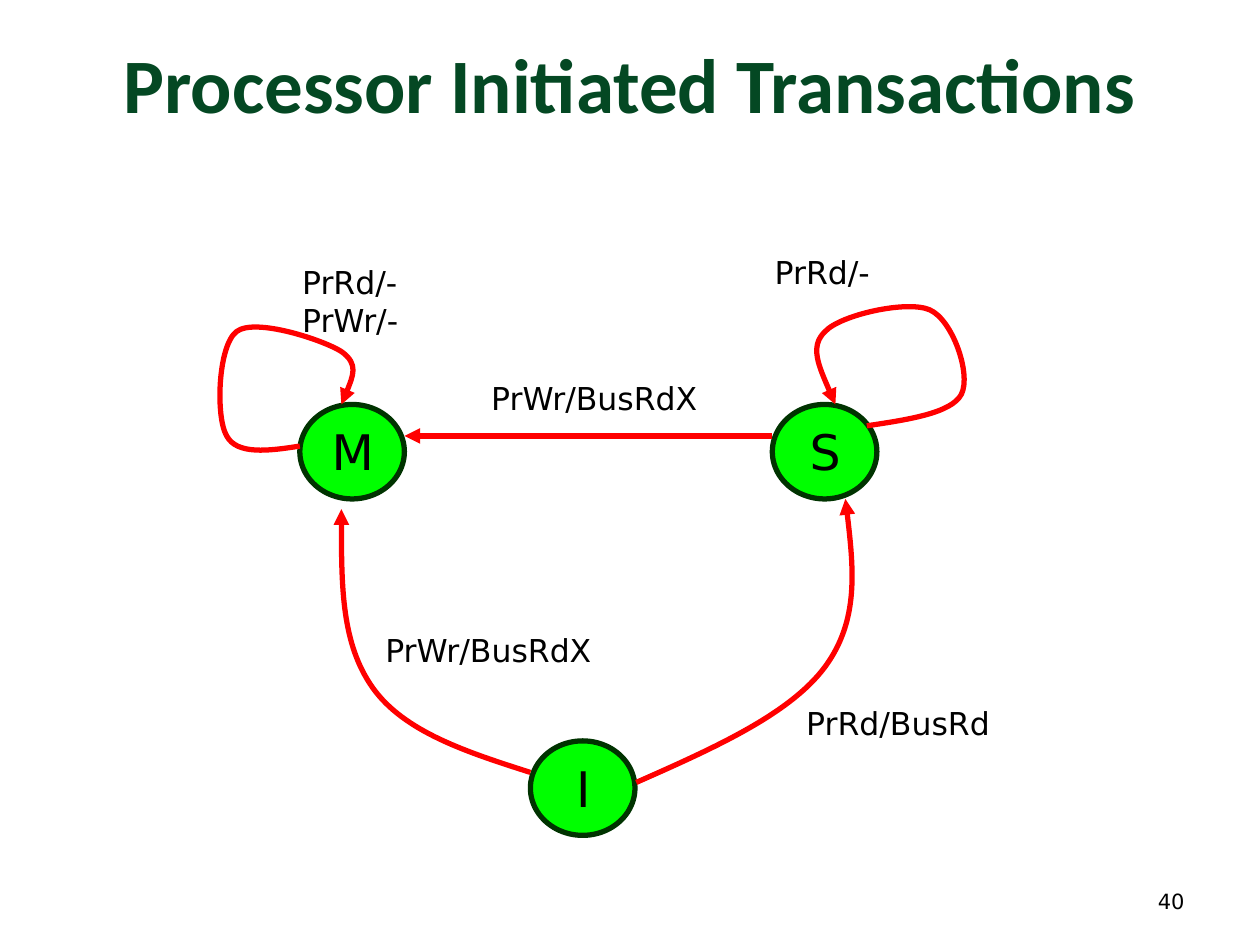
from dataclasses import dataclass

from lxml import etree
from pptx import Presentation
from pptx.dml.color import RGBColor
from pptx.enum.shapes import MSO_CONNECTOR, MSO_SHAPE
from pptx.enum.text import MSO_ANCHOR, MSO_AUTO_SIZE, PP_ALIGN
from pptx.oxml.ns import qn
from pptx.util import Inches, Pt

CENTER, RIGHT = PP_ALIGN.CENTER, PP_ALIGN.RIGHT
MIDDLE = MSO_ANCHOR.MIDDLE
GROW = MSO_AUTO_SIZE.SHAPE_TO_FIT_TEXT
OVAL = MSO_SHAPE.OVAL
STRAIGHT = MSO_CONNECTOR.STRAIGHT

Point = tuple[float, float]


@dataclass(frozen=True)
class Theme:
    title_font: str = "Calibri"
    body_font: str = "DejaVu Sans"
    title_size: int = 44
    state_size: int = 28
    label_size: int = 18
    number_size: int = 12
    line_width: int = 3
    title: RGBColor = RGBColor(0x04, 0x48, 0x23)
    text: RGBColor = RGBColor(0, 0, 0)
    state_fill: RGBColor = RGBColor(0, 0xFF, 0)
    state_line: RGBColor = RGBColor(0, 0x33, 0)
    arrow: RGBColor = RGBColor(0xFF, 0, 0)


@dataclass(frozen=True)
class State:
    name: str
    left: float
    top: float


@dataclass(frozen=True)
class Transition:
    """Start point plus three Bézier points per curve; two points mean a straight arrow."""
    points: list[Point]
    label: list[str]
    label_box: tuple[float, float, float, float]


THEME = Theme()
STATE_WIDTH, STATE_HEIGHT = 0.83, 0.75

STATES = [State("M", 2.38, 3.21), State("I", 4.21, 5.88), State("S", 6.13, 3.21)]

TRANSITIONS = [
    Transition([(2.38, 3.54), (2.13, 3.58), (1.88, 3.61), (1.8, 3.46),
                (1.71, 3.31), (1.73, 2.74), (1.88, 2.63),
                (2.03, 2.52), (2.57, 2.7), (2.71, 2.79),
                (2.85, 2.89), (2.78, 3.05), (2.71, 3.21)],
               ["PrRd/-", "PrWr/-"], (2.3, 2.04, 1.04, 0.7)),
    Transition([(4.21, 6.13), (3.71, 5.97), (3.21, 5.81), (2.96, 5.46),
                (2.71, 5.11), (2.71, 4.58), (2.71, 4.04)],
               ["PrWr/BusRdX"], (2.96, 4.96, 1.89, 0.4)),
    Transition([(5.05, 6.21), (5.66, 5.94), (6.27, 5.67), (6.55, 5.29),
                (6.82, 4.92), (6.77, 4.44), (6.71, 3.96)],
               ["PrRd/BusRd"], (6.3, 5.54, 1.69, 0.4)),
    Transition([(6.88, 3.38), (7.21, 3.33), (7.55, 3.28), (7.63, 3.13),
                (7.71, 2.97), (7.56, 2.54), (7.38, 2.46),
                (7.2, 2.38), (6.67, 2.5), (6.55, 2.63),
                (6.42, 2.75), (6.53, 2.98), (6.63, 3.21)],
               ["PrRd/-"], (6.05, 1.96, 1.02, 0.4)),
    Transition([(6.13, 3.46), (3.21, 3.46)],
               ["PrWr/BusRdX"], (3.8, 2.96, 1.89, 0.4)),
]


def add_text(shapes, lines: list[str], bounds: tuple, size: int, align=None):
    box = shapes.add_textbox(*map(Inches, bounds))
    frame = box.text_frame
    frame.text = "\n".join(lines)
    for para in frame.paragraphs:
        para.alignment = align
        para.font.name = THEME.body_font
        para.font.size = Pt(size)
        para.font.color.rgb = THEME.text
    return frame


def add_state(page, state: State) -> None:
    shapes = page.shapes.add_group_shape().shapes
    circle = shapes.add_shape(OVAL, *map(Inches, (state.left, state.top,
                                                  STATE_WIDTH, STATE_HEIGHT)))
    circle.shadow.inherit = False
    circle.fill.solid()
    circle.fill.fore_color.rgb = THEME.state_fill
    circle.line.color.rgb = THEME.state_line
    circle.line.width = Pt(THEME.line_width)
    frame = add_text(shapes, [state.name], (state.left + 0.17, state.top + 0.09, 0.5, 0.57),
                     THEME.state_size, CENTER)
    frame.margin_left = frame.margin_right = 0
    frame.word_wrap = True
    frame.auto_size = GROW


def add_curve(shapes, points: list[Point]):
    """Draw a freeform through all the points, then turn each three segments into a Bézier."""
    start, *rest = [(Inches(x), Inches(y)) for x, y in points]
    builder = shapes.build_freeform(*start)
    builder.add_line_segments(rest, close=False)
    curve = builder.convert_to_shape()
    curve.shadow.inherit = False
    curve.fill.background()
    path = next(curve.element.iter(qn("a:path")))
    segments = path.findall(qn("a:lnTo"))
    for first in range(0, len(segments), 3):
        bezier = etree.SubElement(path, qn("a:cubicBezTo"))
        for segment in segments[first:first + 3]:
            bezier.append(segment[0])
            path.remove(segment)
    return curve


def add_straight(shapes, start: Point, end: Point):
    arrow = shapes.add_connector(STRAIGHT, *map(Inches, (*start, *end)))
    etree.SubElement(arrow.element.spPr, qn("a:effectLst"))
    return arrow


def add_transition(page, transition: Transition) -> None:
    shapes = page.shapes.add_group_shape().shapes
    points = transition.points
    arrow = add_straight(shapes, *points) if len(points) == 2 else add_curve(shapes, points)
    arrow.line.color.rgb = THEME.arrow
    arrow.line.width = Pt(THEME.line_width)
    outline = arrow.element.spPr.get_or_add_ln()
    etree.SubElement(outline, qn("a:tailEnd"), type="triangle")
    frame = add_text(shapes, transition.label, transition.label_box, THEME.label_size)
    frame.word_wrap = False
    frame.auto_size = GROW


def add_title(page, text: str) -> None:
    title = page.shapes.title
    title.left, title.top, title.width, title.height = map(Inches, (-0.02, 0.03, 10.04, 1.25))
    title.text_frame.text = text
    title.text_frame.vertical_anchor = MIDDLE
    para = title.text_frame.paragraphs[0]
    para.alignment = CENTER
    para.font.name = THEME.title_font
    para.font.size = Pt(THEME.title_size)
    para.font.bold = True
    para.font.color.rgb = THEME.title


def main() -> None:
    deck = Presentation()
    deck.slide_width, deck.slide_height = Inches(10), Inches(7.5)
    page = deck.slides.add_slide(deck.slide_layouts.get_by_name("Title Only"))
    add_title(page, "Processor Initiated Transactions")
    for state in STATES:
        add_state(page, state)
    for transition in TRANSITIONS:
        add_transition(page, transition)
    number = add_text(page.shapes, ["40"], (7.17, 6.95, 2.33, 0.4), THEME.number_size, RIGHT)
    number.word_wrap = True
    number.vertical_anchor = MIDDLE
    deck.save("out.pptx")


if __name__ == "__main__":
    main()
